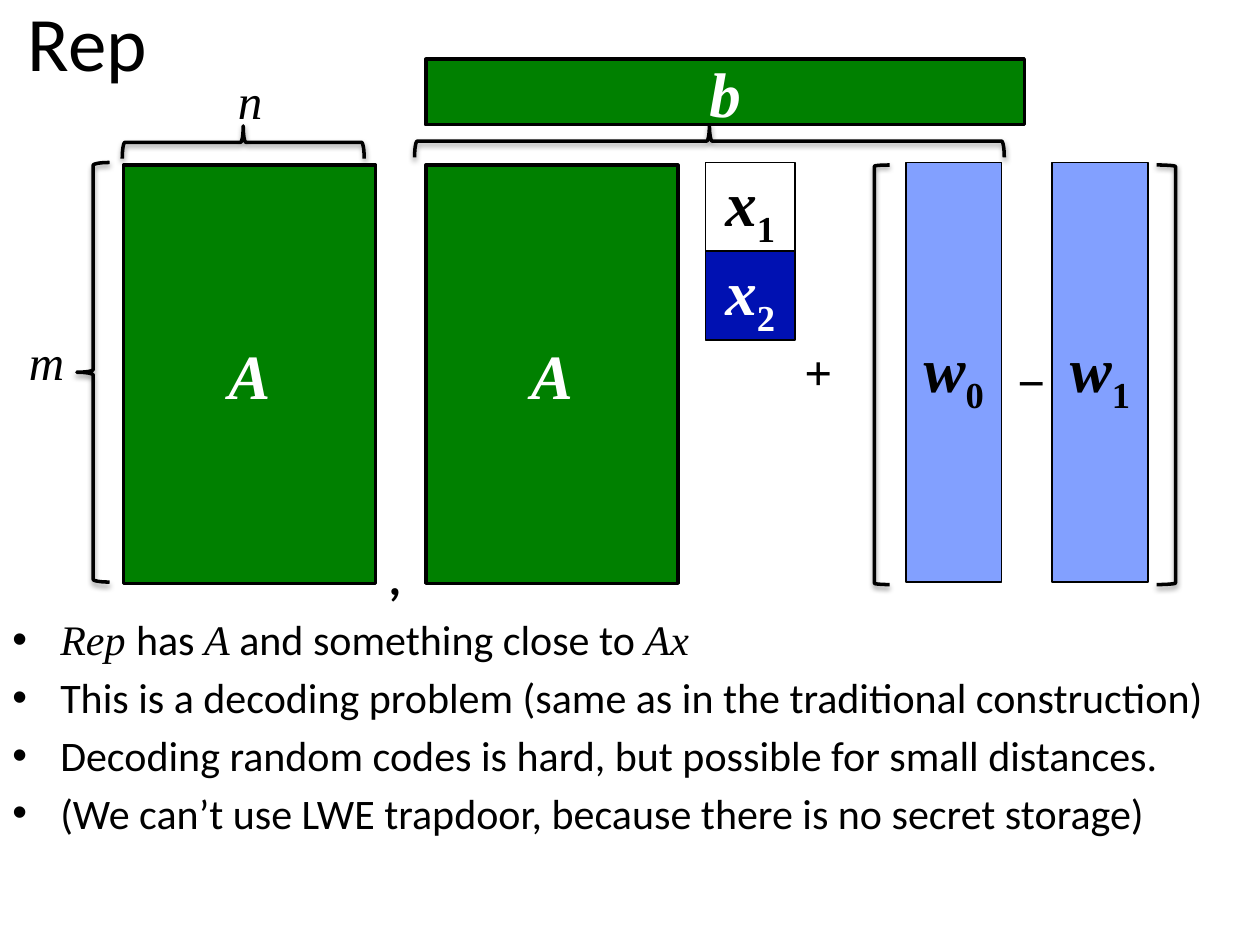
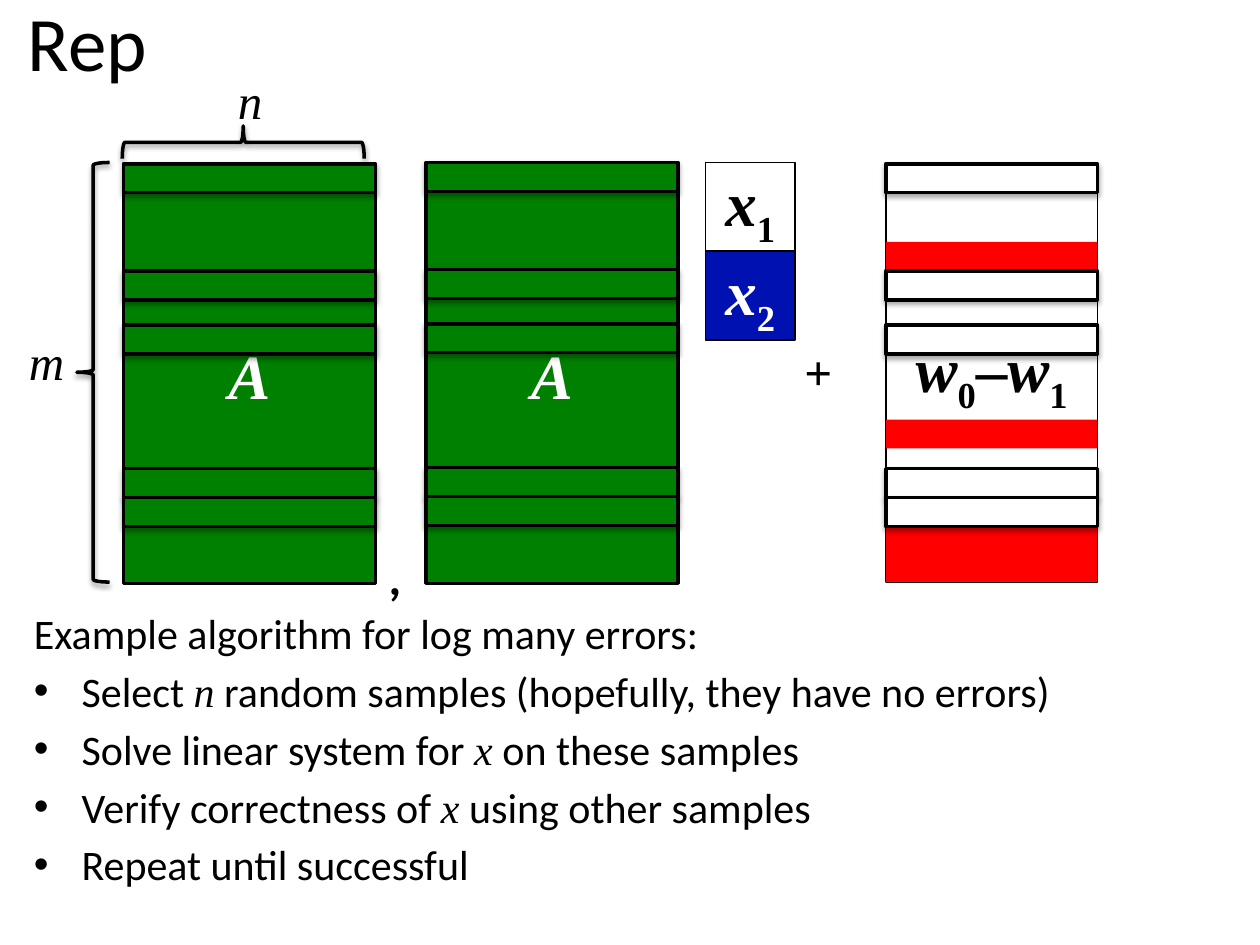
import pptx
import pptx.util
import pptx.dml.color
import pptx.enum.shapes
import pptx.enum.text
import pptx.oxml
import pptx.oxml.ns
from lxml import etree

Inches, Pt = pptx.util.Inches, pptx.util.Pt
qn = pptx.oxml.ns.qn
KIND = pptx.enum.shapes.MSO_SHAPE
ALIGN = pptx.enum.text.PP_ALIGN
ANCHOR = pptx.enum.text.MSO_ANCHOR
SIZING = pptx.enum.text.MSO_AUTO_SIZE

# Shared colours and fonts
BLACK, WHITE, RED = "000000", "FFFFFF", "FF0000"
GREEN, NAVY, SKY = "008000", "0011B2", "82A0FF"
SANS, SERIF = "Calibri", "Times New Roman"

# Shared places
TOP, TALL = 1.29, 3.33          # the matrix row
LEFT, RIGHT, WIDE = 0.98, 3.38, 2   # the two A blocks
ERR, SPAN, BAND = 7.03, 1.68, 0.23  # the error block and its rows


def color(code):
    return pptx.dml.color.RGBColor.from_string(code)


def var(name, index):
    """A bold variable with a subscript."""
    return [(name, "bi"), (index, "bs")]


class Deck:
    def __init__(self):
        self.prs = pptx.Presentation()
        self.prs.slide_width = Inches(10)
        self.prs.slide_height = Inches(7.5)

    def start(self):
        self.slide = self.prs.slides.add_slide(self.prs.slide_layouts[6])
        self.shapes = self.slide.shapes
        self.text(-0.95, -0.3, 3.29, 1.25, [("Rep", "")], 44, SANS, wrap=True)

    def group(self):
        self.shapes = self.slide.shapes.add_group_shape().shapes

    def ungroup(self):
        self.shapes = self.slide.shapes

    def fill_in(self, par, runs, size, face, ink=BLACK):
        """Flags: b bold, i italic, s subscript, t serif."""
        for words, flags in runs:
            run = par.add_run()
            run.text = words
            font = run.font
            font.size = Pt(size)
            font.name = SERIF if "t" in flags else face
            font.bold, font.italic = "b" in flags, "i" in flags
            font.color.rgb = color(ink)
            if "s" in flags:
                run._r.get_or_add_rPr().set("baseline", "-25000")

    def text(self, x, y, w, h, runs, size=28, face=SERIF, wrap=False):
        box = self.shapes.add_textbox(Inches(x), Inches(y), Inches(w), Inches(h))
        frame = box.text_frame
        frame.word_wrap = wrap
        frame.auto_size = SIZING.NONE if wrap else SIZING.SHAPE_TO_FIT_TEXT
        frame.vertical_anchor = ANCHOR.MIDDLE if wrap else ANCHOR.TOP
        frame.paragraphs[0].alignment = ALIGN.CENTER
        self.fill_in(frame.paragraphs[0], runs, size, face)

    def shape(self, kind, x, y, w, h, fill=None, line=2, shade=0):
        item = self.shapes.add_shape(kind, Inches(x), Inches(y), Inches(w), Inches(h))
        item.shadow.inherit = False
        if fill:
            item.fill.solid()
            item.fill.fore_color.rgb = color(fill)
        else:
            item.fill.background()
        if line:
            item.line.color.rgb = color(BLACK)
            item.line.width = Pt(line)
        else:
            item.line.fill.background()
        if shade:
            self.shade(item, shade)
        return item

    def shade(self, item, alpha):
        effect = item._element.spPr.find(qn("a:effectLst"))
        drop = etree.SubElement(effect, qn("a:outerShdw"), blurRad=str(Pt(3.1)),
                                dist=str(Pt(1.7)), dir="5400000", rotWithShape="0")
        tint = etree.SubElement(drop, qn("a:srgbClr"), val=BLACK)
        etree.SubElement(tint, qn("a:alpha"), val=str(alpha * 1000))

    def block(self, x, y, w, h, runs, fill=None, ink=BLACK, line=1):
        item = self.shape(KIND.RECTANGLE, x, y, w, h, fill, line)
        frame = item.text_frame
        frame.vertical_anchor = ANCHOR.MIDDLE
        frame.paragraphs[0].alignment = ALIGN.CENTER
        self.fill_in(frame.paragraphs[0], runs, 36, SERIF, ink)

    def band(self, x, y, w, fill, line=0, shade=0):
        self.shape(KIND.RECTANGLE, x, y, w, BAND, fill, line, shade)

    def brace(self, x, y, w, h, turn=0):
        self.shape(KIND.LEFT_BRACE, x, y, w, h, shade=38).rotation = turn

    def bracket(self, x, w, flip=False):
        item = self.shape(KIND.LEFT_BRACKET, x, 1.31, w, TALL, shade=38)
        if flip:
            item._element.spPr.find(qn("a:xfrm")).set("flipH", "1")

    def body(self, x, y, w, h, rows, lead=None):
        box = self.shapes.add_textbox(Inches(x), Inches(y), Inches(w), Inches(h))
        frame = box.text_frame
        frame.word_wrap = True
        lines = ([lead] if lead else []) + rows
        for num, runs in enumerate(lines):
            par = frame.add_paragraph() if num else frame.paragraphs[0]
            par.space_before = Pt(4.3)
            self.fill_in(par, runs, 24, SANS)
            if runs is not lead:
                props = par._p.get_or_add_pPr()
                props.set("marL", str(Inches(0.38)))
                props.set("indent", str(-Inches(0.38)))
                etree.SubElement(props, qn("a:buFont"), typeface="Arial")
                etree.SubElement(props, qn("a:buChar"), char="•")

    def system(self):
        """The parts of the equation that both slides show."""
        for x in (LEFT, RIGHT):
            self.block(x, 1.31, WIDE, 3.32, [("A", "bi")], GREEN, WHITE, 2)
        self.text(2.98, 4.29, 0.31, 0.57, [(",", "b")], face=SANS)
        self.block(5.6, TOP, 0.71, 0.7, var("x", "1"))
        self.block(5.6, 1.99, 0.71, 0.71, var("x", "2"), NAVY, WHITE)
        self.text(6.28, 2.66, 0.43, 0.57, [("+", "b")])
        self.group()
        self.brace(0.61, TOP, 0.26, TALL)
        self.text(0.06, 2.58, 0.62, 0.57, [("m", "i")])
        self.group()
        self.brace(1.8, 0.17, 0.26, 1.92, 90)
        self.text(1.72, 0.51, 0.53, 0.57, [("n", "i")])
        self.ungroup()


deck = Deck()

# Slide 1: the decoding problem
deck.start()
deck.system()
deck.block(7.19, TOP, 0.76, TALL, var("w", "0"), SKY)
deck.text(7.97, 2.74, 0.43, 0.57, [("−", "b")])
deck.block(8.35, TOP, 0.76, TALL, var("w", "1"), SKY)
deck.bracket(6.94, 0.12)
deck.bracket(9.18, 0.15, flip=True)
deck.brace(5.5, -1.22, 0.26, 4.68, 90)
deck.block(RIGHT, 0.47, 4.75, 0.52, [("b", "bi")], GREEN, WHITE, 2)
deck.body(0, 4.82, 9.81, 2.6, [
    [("Rep ", "ti"), ("has ", ""), ("A", "ti"),
     (" and something close to ", ""), ("Ax", "ti")],
    [("This is a decoding problem (same as in the traditional construction)", "")],
    [("Decoding random codes is hard, but possible for small distances.", "")],
    [("(We can’t use LWE trapdoor, because there is no secret storage)", "")],
])

# Slide 2: sampling rows without errors
deck.start()
deck.system()
deck.block(ERR, TOP, SPAN, TALL, var("w", "0") + [("–", "b")] + var("w", "1"))
for y in (4.39, 4.18, 1.92, 3.33):
    deck.band(ERR, y, SPAN, RED)
for y in (1.3, 2.15, 2.58, 3.72, 3.95):
    deck.group()
    deck.band(ERR, y, SPAN, WHITE, 2, 35)
    deck.band(RIGHT, y - 0.01, WIDE, GREEN, 2, 35)
    deck.band(LEFT, y, WIDE, GREEN, 2, 35)
deck.ungroup()
deck.body(0.17, 4.77, 9.83, 2.63, [
    [("Select ", ""), ("n", "ti"),
     (" random samples (hopefully, they have no errors)", "")],
    [("Solve linear system for ", ""), ("x", "ti"), (" on these samples", "")],
    [("Verify correctness of ", ""), ("x", "ti"), (" using other samples", "")],
    [("Repeat until successful", "")],
], lead=[("Example algorithm for log many errors:", "")])

deck.prs.save("out.pptx")
